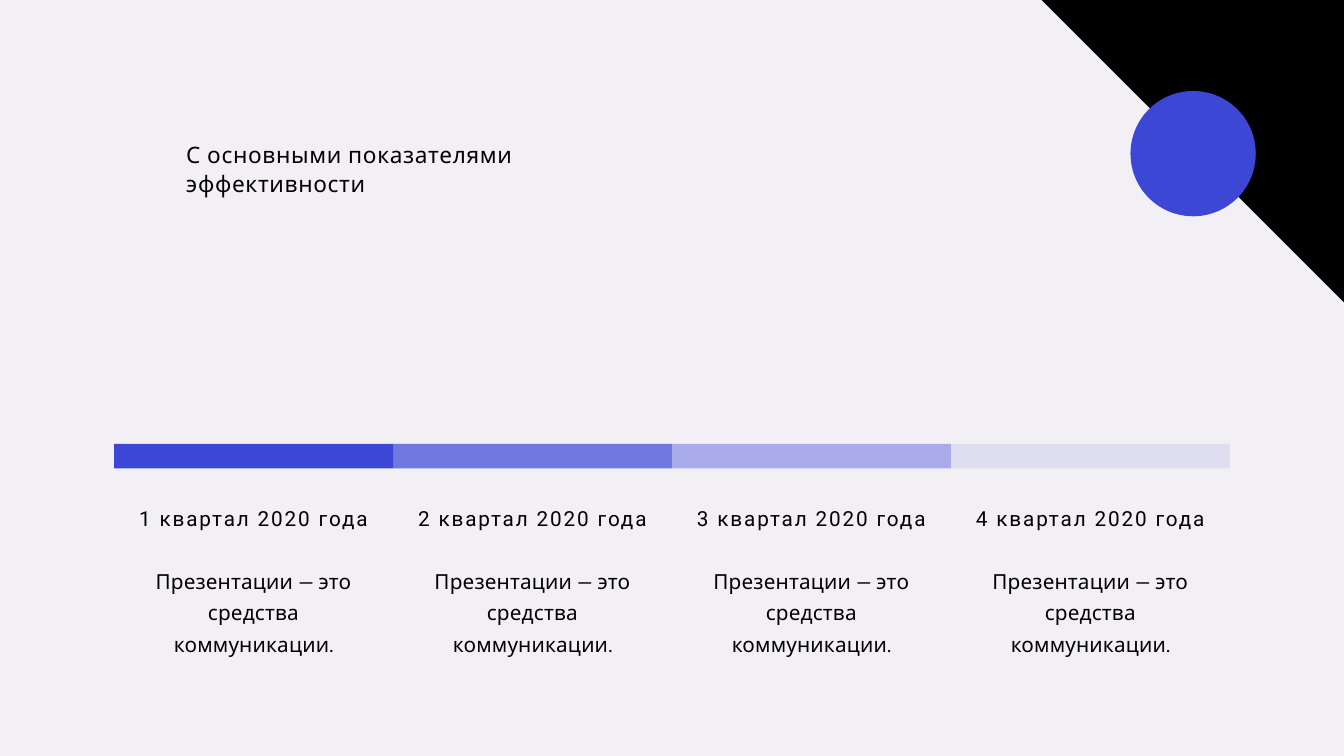
"""Builds the quarterly timeline slide."""
import pptx
import pptx.util
import pptx.dml.color
import pptx.enum.shapes
import pptx.enum.text
import lxml.etree
import pptx.oxml.ns

RGB = pptx.dml.color.RGBColor
BLACK = RGB(0x00, 0x00, 0x00)
BLUE = RGB(0x3C, 0x47, 0xD6)
PALE = RGB(0xF2, 0xF0, 0xF4)
FORM = pptx.enum.shapes.MSO_SHAPE
ALIGN = pptx.enum.text.PP_ALIGN
FRAME = {
    "margin_left": 0, "margin_top": 0, "margin_right": 0, "margin_bottom": 0,
    "word_wrap": True,
    "vertical_anchor": pptx.enum.text.MSO_ANCHOR.TOP,
    "auto_size": pptx.enum.text.MSO_AUTO_SIZE.SHAPE_TO_FIT_TEXT,
}
HEAD = {"name": "Karla", "size": 24.2, "gap": 0.7, "line": 31.5, "align": ALIGN.LEFT}
LABEL = {"name": "Roboto", "size": 22.2, "gap": 2, "line": 28.9, "align": ALIGN.CENTER}
BODY = {"name": "Karla", "size": 22.2, "gap": 0.2, "line": 33.4, "align": ALIGN.CENTER}
STEPS = [100, 70, 40, 10]
NOTE = "Презентации — это средства коммуникации."


def px(num):
    """Turn px into EMU."""
    return pptx.util.Emu(round(num * 9525))


def apply(item, style):
    """Set each attribute named in a dict."""
    for name, value in style.items():
        setattr(item, name, value)


def write(shape, text, style):
    """Fill a text shape with one styled paragraph."""
    apply(shape.text_frame, FRAME)
    para = shape.text_frame.paragraphs[0]
    run = para.add_run()
    run.text = text
    apply(para, {"alignment": style["align"],
                 "line_spacing": pptx.util.Pt(style["line"])})
    apply(run.font, {"name": style["name"], "bold": False,
                     "size": pptx.util.Pt(style["size"])})
    run.font.color.rgb = BLACK
    run.font._element.set("spc", str(round(style["gap"] * 100)))


def draw(slide, form, box, color, alpha=100):
    """Add a flat preset shape."""
    shape = slide.shapes.add_shape(form, *map(px, box))
    shape.shadow.inherit = False
    shape.fill.solid()
    shape.fill.fore_color.rgb = color
    shape.line.fill.background()
    if alpha < 100:
        tint = shape._element.spPr.find(".//" + pptx.oxml.ns.qn("a:srgbClr"))
        lxml.etree.SubElement(tint, pptx.oxml.ns.qn("a:alpha"), val=str(alpha * 1000))
    return shape


def title(slide, box, text):
    """Move and format the title placeholder."""
    head = slide.shapes.title
    apply(head, dict(zip(("left", "top", "width", "height"), map(px, box))))
    write(head, text, HEAD)


def quarter(slide, box, num, alpha):
    """Place one bar segment with its label and note."""
    left, top, wide, high = box
    draw(slide, FORM.RECTANGLE, (left, top, wide, high), BLUE, alpha)
    rows = [(85, 36, f"{num} квартал 2020 года", LABEL), (170, 84, NOTE, BODY)]
    for drop, tall, text, style in rows:
        area = (left + 25, top + drop, wide - 50, tall)
        write(slide.shapes.add_textbox(*map(px, area)), text, style)


def timeline(slide, box):
    """Split the box evenly among the quarters."""
    left, top, wide, high = box
    step = wide / len(STEPS)
    for num, alpha in enumerate(STEPS):
        quarter(slide, (left + num * step, top, step, high), num + 1, alpha)


def corner(slide, box):
    """Draw the black corner with a disc on its slope."""
    left, top, wide, high = box
    draw(slide, FORM.RIGHT_TRIANGLE, box, BLACK).rotation = 180
    draw(slide, FORM.OVAL, (left + 127, top + 130, 179, 179), BLUE)


def main():
    """Build and save the slide."""
    deck = pptx.Presentation()
    apply(deck, {"slide_width": px(1920), "slide_height": px(1080)})
    slide = deck.slides.add_slide(deck.slide_layouts[5])
    slide.background.fill.solid()
    slide.background.fill.fore_color.rgb = PALE
    timeline(slide, (163, 634, 1594, 35))
    title(slide, (266, 198, 719, 40), "С основными показателями эффективности")
    corner(slide, (1488, 0, 432, 432))
    deck.save("out.pptx")


if __name__ == "__main__":
    main()
